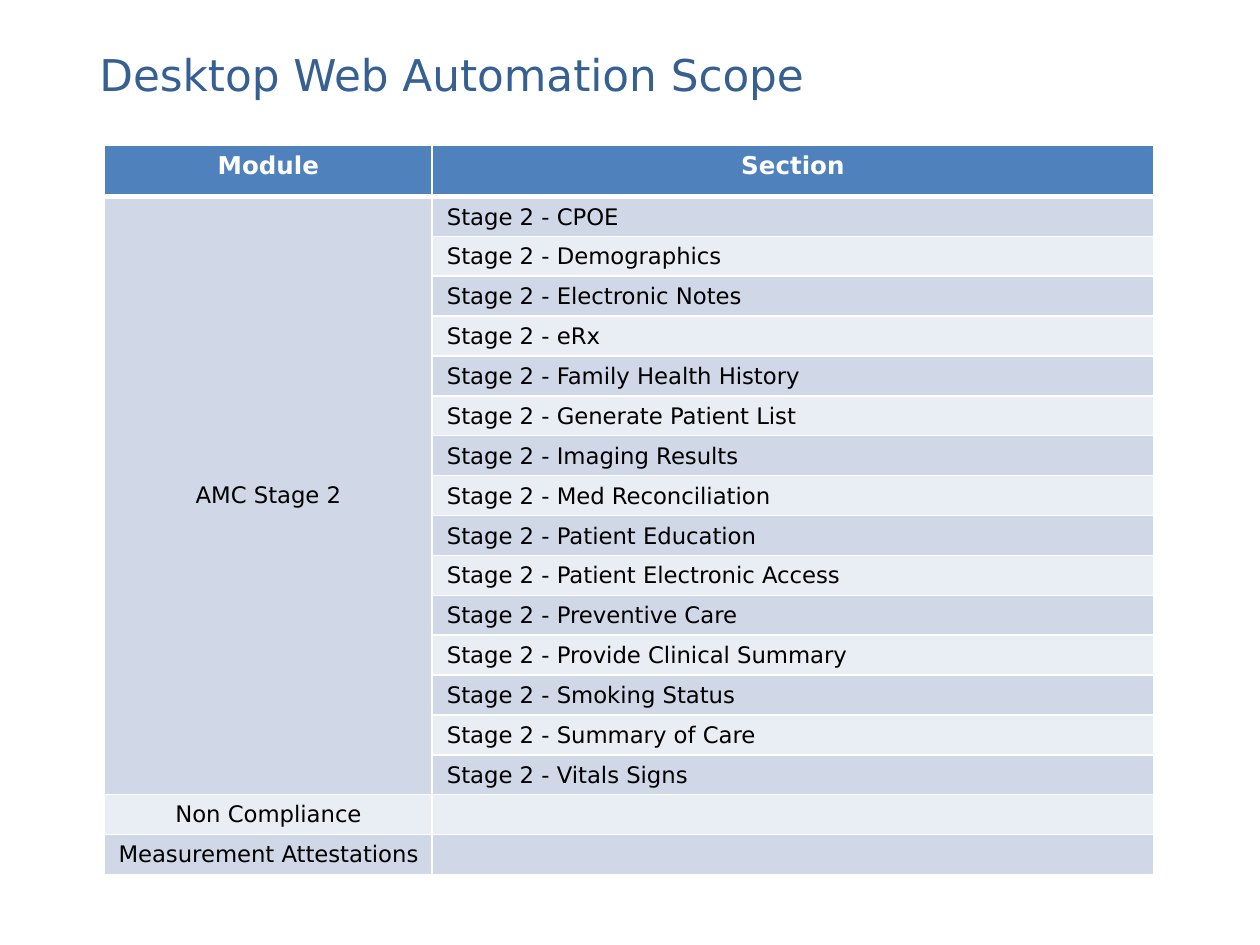
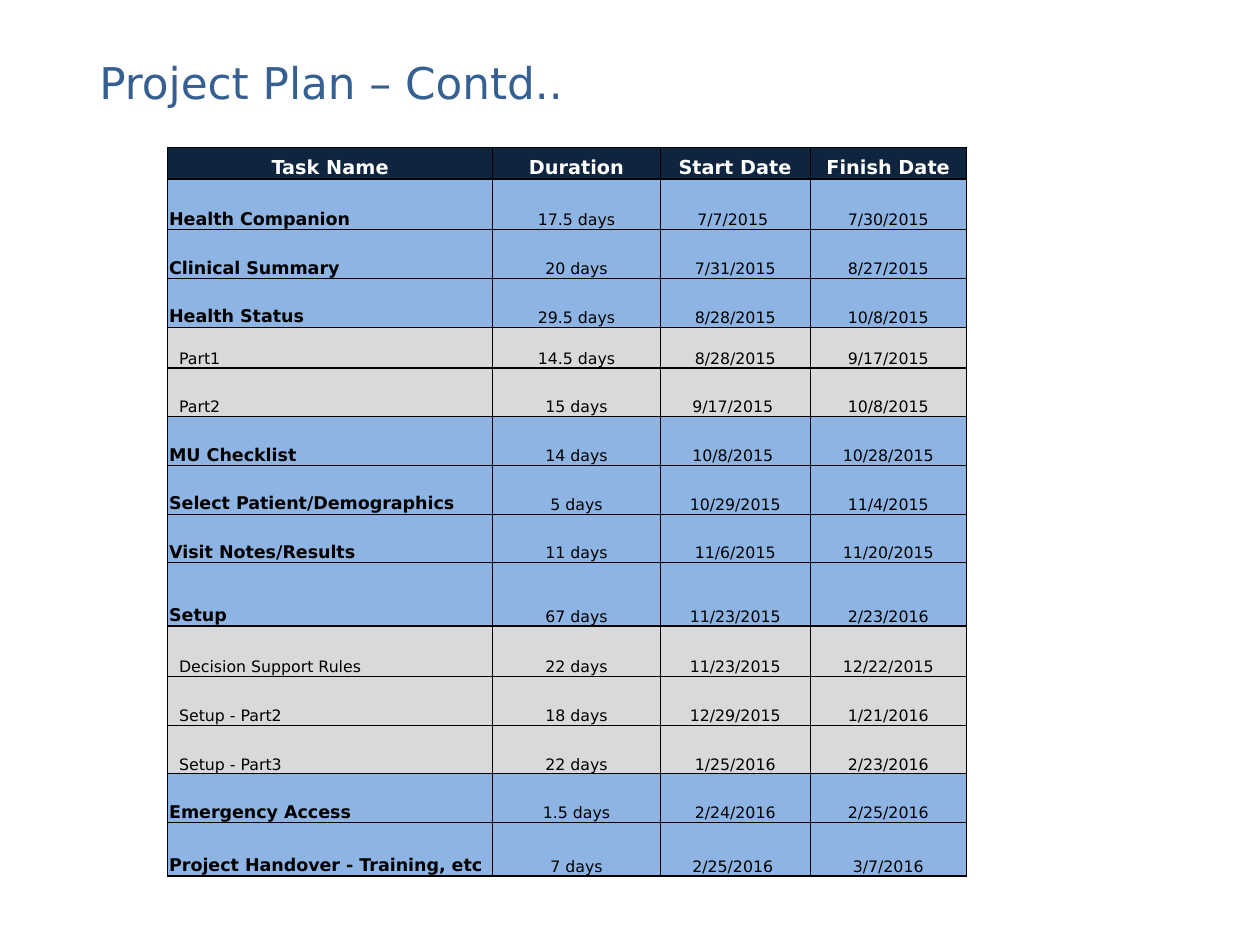
from lxml.etree import SubElement
from pptx import Presentation
from pptx.dml.color import RGBColor
from pptx.enum.text import MSO_ANCHOR as Anchor, MSO_AUTO_SIZE as Fit, PP_ALIGN as Align
from pptx.oxml.ns import qn
from pptx.util import Cm, Pt

FONT = "DejaVu Sans"
WHITE = RGBColor(0xFF, 0xFF, 0xFF)
BLACK = RGBColor(0x00, 0x00, 0x00)
TITLE_BLUE = RGBColor(0x37, 0x60, 0x92)
HEAD_BLUE = RGBColor(0x4F, 0x81, 0xBD)
STRIPES = RGBColor(0xE9, 0xED, 0xF4), RGBColor(0xD0, 0xD8, 0xE8)
NAVY = RGBColor(0x0F, 0x25, 0x3F)
TASK_BLUE = RGBColor(0x8E, 0xB4, 0xE3)
PART_GREY = RGBColor(0xD9, 0xD9, 0xD9)

SCOPE_TITLE = "Desktop Web Automation Scope"
SCOPE_HEAD = ["Module", "Section"]
STAGE_MODULE = "AMC Stage 2"
STAGE_SECTIONS = [
    "CPOE", "Demographics", "Electronic Notes", "eRx", "Family Health History",
    "Generate Patient List", "Imaging Results", "Med Reconciliation",
    "Patient Education", "Patient Electronic Access", "Preventive Care",
    "Provide Clinical Summary", "Smoking Status", "Summary of Care", "Vitals Signs",
]
OTHER_MODULES = ["Non Compliance", "Measurement Attestations"]
SCOPE_COLS = [6.6, 14.55]
SCOPE_HEAD_HEIGHT, SCOPE_HEIGHT = 1.04, 14.71

PLAN_TITLE = "Project Plan – Contd.."
PLAN_HEAD = ["Task Name", "Duration", "Start Date", "Finish Date"]
TASK, PART = "task", "part"
PLAN = [
    (TASK, 1.02, "Health Companion", "17.5 days", "7/7/2015 ", "7/30/2015"),
    (TASK, 0.98, "Clinical Summary", "20 days", "7/31/2015", "8/27/2015"),
    (TASK, 0.98, "Health Status", "29.5 days", "8/28/2015", "10/8/2015"),
    (PART, 0.83, "Part1", "14.5 days", "8/28/2015", "9/17/2015"),
    (PART, 0.98, "Part2", "15 days", "9/17/2015 ", "10/8/2015"),
    (TASK, 0.98, "MU Checklist", "14 days", "10/8/2015 ", "10/28/2015"),
    (TASK, 0.98, "Select Patient/Demographics", "5 days", "10/29/2015", "11/4/2015"),
    (TASK, 0.98, "Visit Notes/Results", "11 days", "11/6/2015", "11/20/2015"),
    (TASK, 1.28, "Setup", "67 days", "11/23/2015", "2/23/2016"),
    (PART, 1.02, "Decision Support Rules", "22 days", "11/23/2015", "12/22/2015"),
    (PART, 0.98, "Setup - Part2", "18 days", "12/29/2015", "1/21/2016"),
    (PART, 0.98, "Setup - Part3", "22 days", "1/25/2016", "2/23/2016"),
    (TASK, 0.98, "Emergency Access", "1.5 days", "2/24/2016", "2/25/2016"),
    (TASK, 1.08, "Project Handover - Training, etc", "7 days", "2/25/2016 ", "3/7/2016"),
]
PLAN_COLS = [6.55, 3.38, 3.02, 3.15]
PLAN_HEAD_HEIGHT = 0.64
HEAVY_BELOW = {0, 1, 2, 4, 9, 10, len(PLAN)}


def set_attrs(obj, values):
    for name, value in values.items():
        setattr(obj, name, value)


def add_text(p, text, size, color, bold=False, align=Align.LEFT):
    p.alignment = align
    if not text:
        p._p.get_or_add_endParaRPr().set("sz", str(size * 100))
        return
    r = p.add_run()
    r.text = text
    set_attrs(r.font, dict(name=FONT, size=Pt(size), bold=bold))
    r.font.color.rgb = color


def add_titled_slide(prs, title, top, width):
    s = prs.slides.add_slide(prs.slide_layouts[5])
    sp = s.shapes.title
    set_attrs(sp, dict(left=Cm(1.75), top=Cm(top), width=Cm(width), height=Cm(1.32)))
    tf = sp.text_frame
    set_attrs(tf, dict(word_wrap=True, auto_size=Fit.SHAPE_TO_FIT_TEXT,
                       vertical_anchor=Anchor.TOP))
    add_text(tf.paragraphs[0], title, 25, TITLE_BLUE)
    return s


def add_grid(s, left, top, cols, rows):
    frame = s.shapes.add_table(len(rows), len(cols), Cm(left), Cm(top),
                               Cm(sum(cols)), Cm(sum(rows)))
    table = frame.table
    table.horz_banding = False
    for col, width in zip(table.columns, cols):
        col.width = Cm(width)
    for row, height in zip(table.rows, rows):
        row.height = Cm(height)
    return table


def paint_cell(cell, fill, border, widths):
    tc_pr = cell._tc.get_or_add_tcPr()
    for side, width in zip("LRTB", widths):
        ln = SubElement(tc_pr, qn(f"a:ln{side}"), w=str(Pt(width)))
        SubElement(SubElement(ln, qn("a:solidFill")), qn("a:srgbClr"), val=str(border))
    cell.fill.solid()
    cell.fill.fore_color.rgb = fill


def set_margins(cell, left):
    set_attrs(cell, dict(margin_left=Cm(left), margin_top=Cm(0.03),
                         margin_right=Cm(0.03), margin_bottom=0))


def build_scope(prs):
    s = add_titled_slide(prs, SCOPE_TITLE, 0.84, 16.46)
    body = [("", f"Stage 2 - {name}") for name in STAGE_SECTIONS]
    body[0] = STAGE_MODULE, body[0][1]
    body += [(name, "") for name in OTHER_MODULES]
    row_height = (SCOPE_HEIGHT - SCOPE_HEAD_HEIGHT) / len(body)
    table = add_grid(s, 2.11, 2.92, SCOPE_COLS,
                     [SCOPE_HEAD_HEIGHT] + [row_height] * len(body))
    for i, texts in enumerate([SCOPE_HEAD] + body):
        for j, text in enumerate(texts):
            cell = table.cell(i, j)
            p = cell.text_frame.paragraphs[0]
            if i == 0:
                paint_cell(cell, HEAD_BLUE, WHITE, (1, 1, 1, 3))
                add_text(p, text, 14, WHITE, True, Align.CENTER)
                continue
            paint_cell(cell, STRIPES[i % 2], WHITE, (1, 1, 3 if i == 1 else 1, 1))
            cell.vertical_anchor = Anchor.MIDDLE
            if j == 1:
                set_margins(cell, 0.3)
            add_text(p, text, 13, BLACK, align=Align.LEFT if j else Align.CENTER)
    table.cell(1, 0).merge(table.cell(len(STAGE_SECTIONS), 0))


def build_plan(prs):
    s = add_titled_slide(prs, PLAN_TITLE, 0.99, 18.57)
    heights = [PLAN_HEAD_HEIGHT] + [height for _, height, *_ in PLAN]
    table = add_grid(s, 3.38, 2.97, PLAN_COLS, heights)
    rows = [("head", PLAN_HEAD)] + [(kind, texts) for kind, _, *texts in PLAN]
    fills = {"head": NAVY, TASK: TASK_BLUE, PART: PART_GREY}
    for i, (kind, texts) in enumerate(rows):
        above = 1 if i == 0 or i - 1 in HEAVY_BELOW else 0.5
        below = 1 if i in HEAVY_BELOW else 0.5
        for j, text in enumerate(texts):
            cell = table.cell(i, j)
            paint_cell(cell, fills[kind], BLACK, (0.5 if j else 1, 0.5, above, below))
            cell.vertical_anchor = Anchor.BOTTOM
            set_margins(cell, 0.23 if kind == PART and j == 0 else 0.03)
            p = cell.text_frame.paragraphs[0]
            if kind == "head":
                add_text(p, text, 11, WHITE, True, Align.CENTER)
            elif j:
                add_text(p, text, 9, BLACK, align=Align.CENTER)
            else:
                add_text(p, text, 10 if kind == TASK else 9, BLACK, kind == TASK)


def main():
    """Build the automation scope and project plan slides."""
    prs = Presentation()
    set_attrs(prs, dict(slide_width=Cm(25.4), slide_height=Cm(19.05)))
    build_scope(prs)
    build_plan(prs)
    prs.save("out.pptx")


if __name__ == "__main__":
    main()
